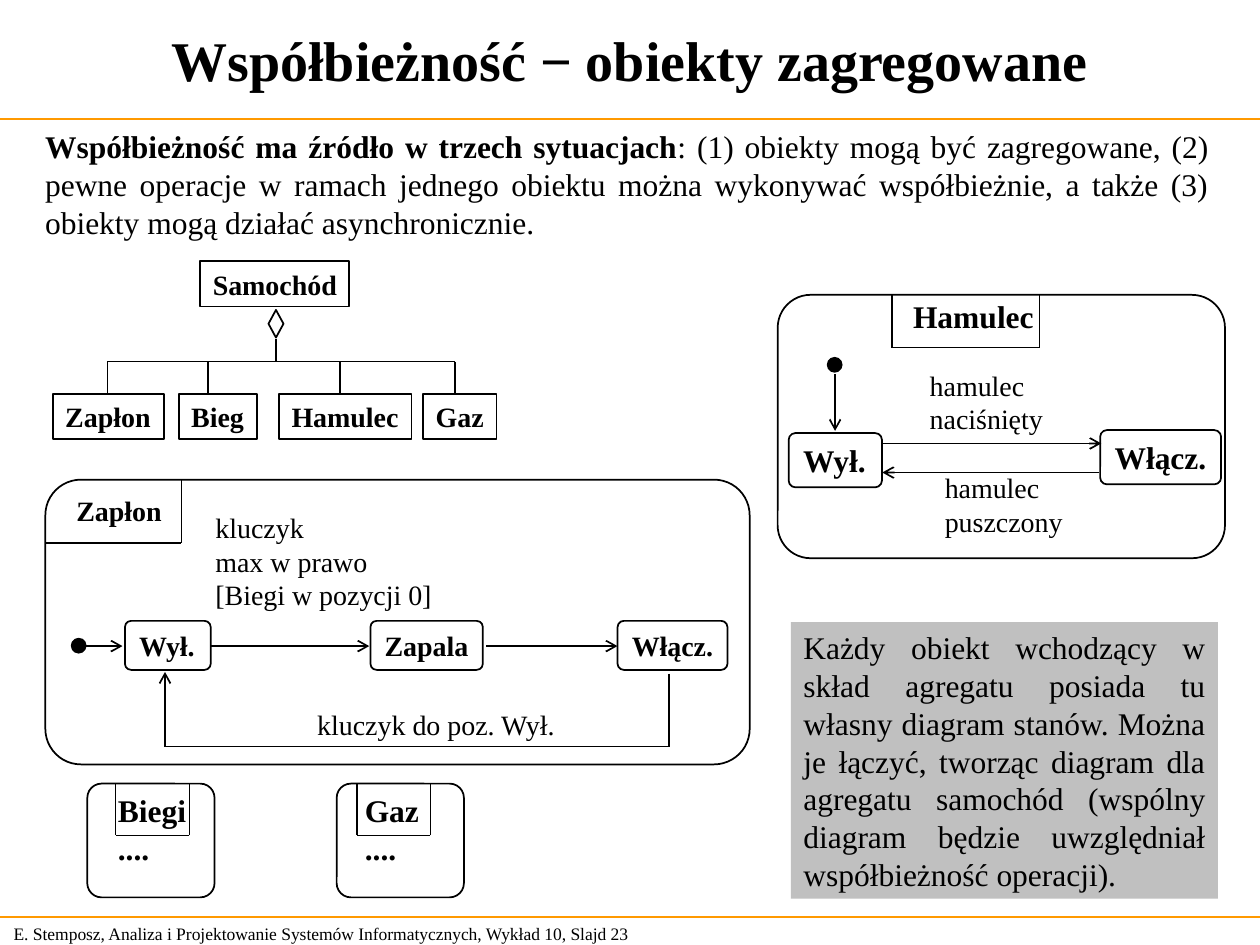
import pptx
import pptx.util
import pptx.dml.color
import pptx.enum.shapes
import pptx.enum.text
import pptx.oxml.ns
import lxml.etree

Pt = pptx.util.Pt
PRESET = pptx.enum.shapes.MSO_SHAPE
ALIGN = pptx.enum.text.PP_ALIGN
ANCHOR = pptx.enum.text.MSO_ANCHOR
AUTOSIZE = pptx.enum.text.MSO_AUTO_SIZE

COLORS = {"ink": "000000", "rule": "FF9900", "note": "C0C0C0"}
LABEL = {"name": "Times New Roman", "size": Pt(16), "bold": False}
STATE = {**LABEL, "bold": True}
BODY = {**LABEL, "size": Pt(18)}
HEADING = {**BODY, "bold": True}
FOOTER = {**LABEL, "size": Pt(10)}
TITLE = {**LABEL, "size": Pt(32), "bold": True}
WRAPPED = {"margin_left": Pt(7.2), "margin_right": Pt(7.2),
           "margin_top": Pt(3.6), "margin_bottom": Pt(3.6),
           "word_wrap": True, "vertical_anchor": ANCHOR.TOP,
           "auto_size": AUTOSIZE.NONE}
SNUG = {**WRAPPED, "margin_right": Pt(0)}
CENTERED = {**WRAPPED, "vertical_anchor": ANCHOR.MIDDLE}


def rgb(color):
    return pptx.dml.color.RGBColor.from_string(COLORS[color])


def apply_format(target, values):
    for attribute, value in values.items():
        setattr(target, attribute, value)


def write(frame, lines, font, frame_format=SNUG, align=ALIGN.LEFT):
    apply_format(frame, frame_format)
    for number, line in enumerate(lines):
        paragraph = frame.add_paragraph() if number else frame.paragraphs[0]
        paragraph.alignment = align
        for text, run_font in line if isinstance(line, list) else [(line, font)]:
            run = paragraph.add_run()
            run.text = text
            apply_format(run.font, run_font)
            run.font.color.rgb = rgb("ink")


def add_label(slide, box, lines, font=LABEL, frame_format=SNUG, align=ALIGN.LEFT):
    label = slide.shapes.add_textbox(*map(Pt, box))
    write(label.text_frame, lines, font, frame_format, align)


def add_outline(slide, preset, box, fill=None, line="ink"):
    outline = slide.shapes.add_shape(preset, *map(Pt, box))
    outline.shadow.inherit = False
    if fill:
        outline.fill.solid()
        outline.fill.fore_color.rgb = rgb(fill)
    else:
        outline.fill.background()
    if line:
        outline.line.color.rgb = rgb(line)
        outline.line.width = Pt(1)
    else:
        outline.line.fill.background()
    if preset == PRESET.ROUNDED_RECTANGLE:
        outline.adjustments[0] = 0.125
    return outline


def add_named_box(slide, preset, box, name, font=STATE):
    write(add_outline(slide, preset, box).text_frame, [name], font)


def add_route(slide, points, color="ink", width=1, arrow=False):
    for start, end in zip(points, points[1:]):
        segment = slide.shapes.add_connector(
            pptx.enum.shapes.MSO_CONNECTOR.STRAIGHT, *map(Pt, start + end))
        segment.line.color.rgb = rgb(color)
        segment.line.width = Pt(width)
        properties = segment._element.spPr
        lxml.etree.SubElement(properties, pptx.oxml.ns.qn("a:effectLst"))
        if arrow and end == points[-1]:
            stroke = properties.find(pptx.oxml.ns.qn("a:ln"))
            lxml.etree.SubElement(stroke, pptx.oxml.ns.qn("a:tailEnd"), type="arrow")


def add_name_tab(slide, left, right, top, bottom):
    add_route(slide, [(left, top), (left, bottom), (right, bottom), (right, top)], width=0.75)


def add_page(slide):
    for y in (68, 524):
        add_route(slide, [(0, y), (720, y)], "rule", 0.75)
    add_label(slide, (0.7, 524, 377.3, 19.4),
              ["E. Stemposz, Analiza i Projektowanie Systemów Informatycznych, Wykład 10, Slajd 23"],
              FOOTER, {**SNUG, "vertical_anchor": ANCHOR.MIDDLE})
    title = slide.shapes.title
    apply_format(title, {"left": Pt(3), "top": Pt(3), "width": Pt(714), "height": Pt(61)})
    write(title.text_frame, ["Współbieżność − obiekty zagregowane"], TITLE, CENTERED, ALIGN.CENTER)
    add_label(slide, (18.7, 69.2, 679.4, 72), [[
        ("Współbieżność ma źródło w trzech sytuacjach", HEADING),
        (": (1) obiekty mogą być zagregowane, (2) pewne operacje w ramach jednego obiektu "
         "można wykonywać współbieżnie, a także (3) obiekty mogą działać asynchronicznie.", BODY),
    ]], BODY, WRAPPED, ALIGN.JUSTIFY)


def add_aggregate(slide):
    add_named_box(slide, PRESET.RECTANGLE, (114.5, 149.2, 85, 26), "Samochód")
    add_outline(slide, PRESET.DIAMOND, (153.4, 177.1, 8.6, 15.8))
    branch = 206.6
    add_route(slide, [(157.7, 193.5), (157.7, branch)])
    add_route(slide, [(61.4, branch), (260.2, branch)])
    for name, left, width, stem in (("Zapłon", 30.2, 63.4, 61.4), ("Bieg", 102.2, 44.6, 118.8),
                                    ("Hamulec", 159.5, 75.6, 194.4), ("Gaz", 241.9, 41.8, 260.2)):
        add_named_box(slide, PRESET.RECTANGLE, (left, 225, width, 26), name)
        add_route(slide, [(stem, branch), (stem, 225)])


def add_ignition(slide):
    add_outline(slide, PRESET.ROUNDED_RECTANGLE, (25.9, 274.1, 402.5, 162.7))
    add_label(slide, (36.5, 278.5, 63.4, 26), ["Zapłon"], STATE)
    add_route(slide, [(25.9, 310.3), (103.7, 310.3), (103.7, 274.1)], width=0.75)
    for name, left, width in (("Wył.", 71.4, 49), ("Zapala", 211.7, 64.2), ("Włącz.", 352.9, 62.8)):
        add_named_box(slide, PRESET.ROUNDED_RECTANGLE, (left, 354.8, width, 28), name)
    for start, end in ((46.8, 70), (120.2, 211), (278, 352.8)):
        add_route(slide, [(start, 369.2), (end, 369.2)], arrow=True)
    add_outline(slide, PRESET.OVAL, (41, 365, 8, 8), "ink")
    add_route(slide, [(382.5, 385), (382.5, 426.6), (94.3, 426.6), (94.3, 384)], arrow=True)
    add_label(slide, (116, 288.4, 138.2, 64.8), ["kluczyk", "max w prawo", "[Biegi w pozycji 0]"])
    add_label(slide, (174.2, 401, 151.2, 26), ["kluczyk do poz. Wył."])


def add_brake(slide):
    add_outline(slide, PRESET.ROUNDED_RECTANGLE, (444.4, 168.5, 255.6, 150.5))
    add_label(slide, (514.7, 166, 83.5, 28.8), ["Hamulec"], HEADING)
    add_name_tab(slide, 509.8, 594, 168.5, 198.6)
    add_named_box(slide, PRESET.ROUNDED_RECTANGLE, (450.7, 247.5, 53.3, 31), "Wył.", HEADING)
    add_named_box(slide, PRESET.ROUNDED_RECTANGLE, (628.7, 245.8, 69.1, 31), "Włącz.", HEADING)
    add_outline(slide, PRESET.OVAL, (473, 204.5, 8, 8), "ink")
    for points in ([(477.2, 213.8), (477.2, 246.2)],
                   [(504.7, 253.4), (629.3, 253.4)],
                   [(627.8, 270), (504.2, 270)]):
        add_route(slide, points, arrow=True)
    add_label(slide, (524.2, 207, 79.2, 45.4), ["hamulec", "naciśnięty"])
    add_label(slide, (532.8, 265.4, 81.4, 45.4), ["hamulec", "puszczony"])


def add_stub(slide, name, frame_left, label_left, label_width, tab_left):
    add_outline(slide, PRESET.ROUNDED_RECTANGLE, (frame_left, 447.8, 72.7, 65))
    add_label(slide, (label_left, 448.6, label_width, 50.4), [name, "...."], HEADING)
    add_name_tab(slide, tab_left, tab_left + 42, 448, 477.4)


def add_note(slide):
    note = add_outline(slide, PRESET.RECTANGLE, (452, 355.5, 244, 158), "note", None)
    write(note.text_frame, [
        "Każdy obiekt wchodzący w skład agregatu posiada tu własny diagram stanów. "
        "Można je łączyć, tworząc diagram dla agregatu samochód "
        "(wspólny diagram będzie uwzględniał współbieżność operacji)."
    ], BODY, WRAPPED, ALIGN.JUSTIFY)


def main():
    deck = pptx.Presentation()
    apply_format(deck, {"slide_width": Pt(720), "slide_height": Pt(540)})
    slide = deck.slides.add_slide(deck.slide_layouts[5])
    add_page(slide)
    add_aggregate(slide)
    add_ignition(slide)
    add_brake(slide)
    add_stub(slide, "Biegi", 49.9, 60.3, 53.3, 66.1)
    add_stub(slide, "Gaz", 192.4, 201.4, 45.4, 204)
    add_note(slide)
    deck.save("out.pptx")


if __name__ == "__main__":
    main()
